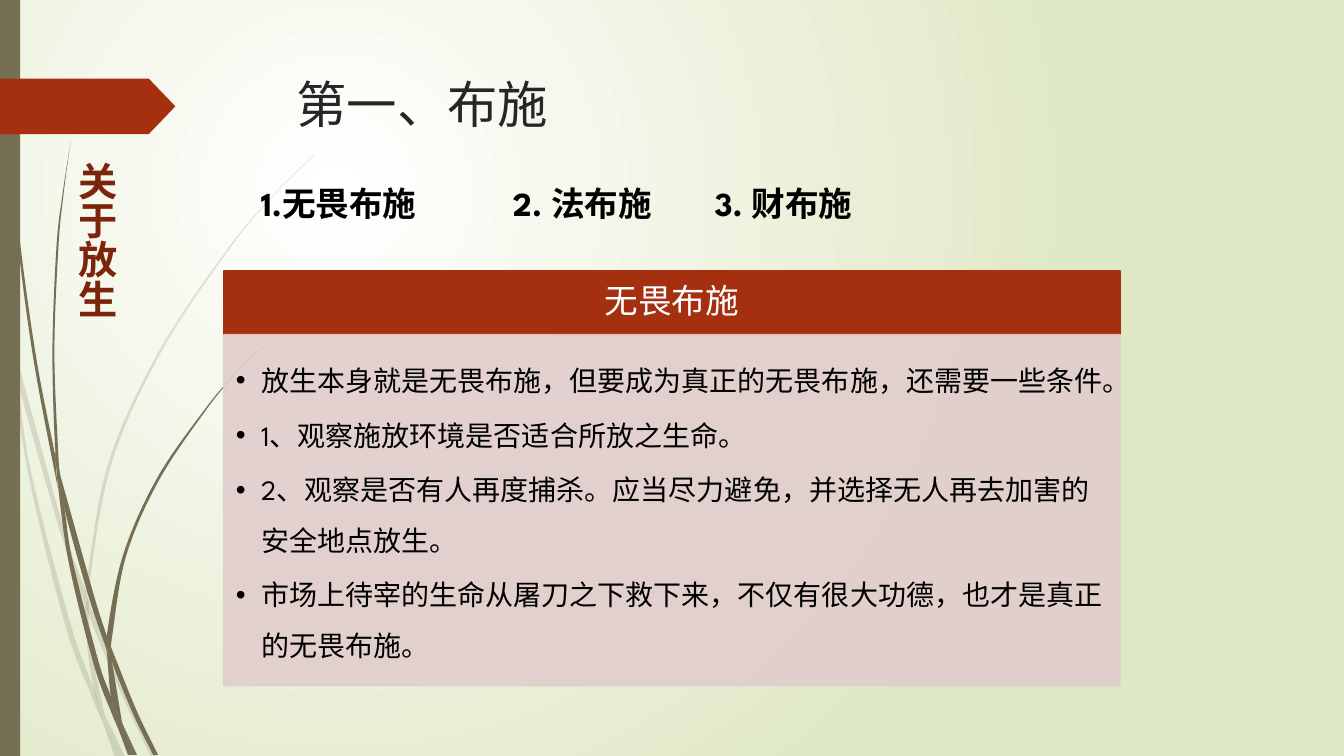
from lxml import etree
from pptx import Presentation
from pptx.dml.color import RGBColor
from pptx.enum.shapes import MSO_SHAPE
from pptx.enum.text import MSO_ANCHOR, MSO_AUTO_SIZE, PP_ALIGN
from pptx.oxml.ns import qn
from pptx.util import Pt

RECT, ARROW = MSO_SHAPE.RECTANGLE, MSO_SHAPE.PENTAGON
LEFT, CENTER = PP_ALIGN.LEFT, PP_ALIGN.CENTER
TOP, MIDDLE = MSO_ANCHOR.TOP, MSO_ANCHOR.MIDDLE
NO_FIT, GROW = MSO_AUTO_SIZE.NONE, MSO_AUTO_SIZE.SHAPE_TO_FIT_TEXT

PX = 9144  # 100 px to the inch
FONT = "League Spartan"
COLORS = {
    "olive": "766F54", "red": "A53010", "dark red": "7C240C",
    "panel": "E1CDCC", "white": "FFFFFF", "green": "DFE8C4",
    "black": "000000", "title": "262626",
}


def paint(sp, color, alpha=100, line=None):
    """Fill a shape and outline it in the same colour, or not at all."""
    formats = [sp.fill]
    if line:
        sp.line.width = Pt(line)
        formats.append(sp.line.fill)
    else:
        sp.line.fill.background()
    for fill in formats:
        fill.solid()
        fill.fore_color.rgb = RGBColor.from_string(COLORS[color])
    if alpha < 100:
        for clr in sp._element.spPr.iter(qn("a:srgbClr")):
            etree.SubElement(clr, qn("a:alpha")).set("val", str(alpha * 1000))


def write(tf, text, size, color, bold=False, align=LEFT, spacing=1.0, after=0,
          anchor=TOP, insets=(10, 5, 10, 5), wrap=True, fit=NO_FIT,
          hanging=0, tabs=()):
    """Write one paragraph for each line of text; lengths are in px."""
    tf.word_wrap, tf.auto_size, tf.vertical_anchor = wrap, fit, anchor
    (tf.margin_left, tf.margin_top,
     tf.margin_right, tf.margin_bottom) = [v * PX for v in insets]
    for i, words in enumerate(text.split("\n")):
        p = tf.add_paragraph() if i else tf.paragraphs[0]
        p.alignment, p.line_spacing = align, spacing
        p.space_before, p.space_after = Pt(0), Pt(after)
        pPr = p._p.get_or_add_pPr()
        if hanging:
            pPr.set("marL", str(hanging * PX))
            pPr.set("indent", str(-hanging * PX))
            etree.SubElement(pPr, qn("a:buFont")).set("typeface", "Arial")
            etree.SubElement(pPr, qn("a:buChar")).set("char", "•")
        if tabs:
            tab_list = etree.SubElement(pPr, qn("a:tabLst"))
            for pos in tabs:
                etree.SubElement(tab_list, qn("a:tab"), pos=str(pos * PX), algn="l")
        r = p.add_run()
        r.text = words
        r.font.name, r.font.size, r.font.bold = FONT, Pt(size), bold
        r.font.color.rgb = RGBColor.from_string(COLORS[color])


prs = Presentation()
prs.slide_width, prs.slide_height = 12192000, 6858000
s = prs.slides.add_slide(prs.slide_layouts[1])
shapes = s.shapes
title, body = shapes.title, s.placeholders[1]

# Background glow
glow = s.background.fill
glow.gradient()
for stop, color in zip(glow.gradient_stops, ("white", "green")):
    stop.color.rgb = RGBColor.from_string(COLORS[color])
grad = s._element.xpath(".//p:bg//a:gradFill")[0]
grad.remove(grad.find(qn("a:lin")))
circle = etree.SubElement(grad, qn("a:path"), path="circle")
etree.SubElement(circle, qn("a:fillToRect"), l="50000", t="50000", r="100000", b="100000")

# Grass: each piece has one edge and the other edge on the way back
pale_grass = [
    ([(11, 350), (9, 322), (0, 282)], [(0, 299), (10, 344), (11, 350)]),
    ([(14, 345), (17, 376), (58, 522), (84, 599)], [(85, 586), (62, 520), (14, 345)]),
    ([(88, 596), (88, 610), (123, 694), (150, 751)], [(155, 751), (127, 692), (92, 607), (88, 596)]),
    ([(119, 751), (124, 751)], [(105, 711), (119, 751)]),
    ([(11, 350), (28, 470), (65, 621), (92, 693), (101, 714)],
     [(99, 707), (93, 683), (70, 619), (31, 469), (17, 376), (11, 350)]),
    ([(84, 599), (87, 646), (93, 683), (96, 692), (105, 711)],
     [(103, 706), (91, 646), (88, 610), (88, 608), (84, 599)]),
    ([(88, 596), (88, 584), (110, 462), (160, 349), (229, 245), (268, 198), (290, 175), (312, 154)],
     [(312, 153), (289, 175), (268, 197), (228, 244), (158, 348), (107, 461), (85, 584), (85, 586)]),
    ([(101, 714), (114, 751)], [(119, 751), (101, 714)]),
    ([(88, 608), (88, 610), (88, 596)], [(85, 586), (84, 599), (88, 608)]),
    ([(93, 683), (99, 707), (101, 714), (119, 751)], [(105, 711), (96, 692), (93, 683)]),
]
dark_grass = [
    ([(3, 0), (4, 48), (7, 110), (17, 233), (33, 355), (56, 477), (57, 481)],
     [(55, 457), (55, 453), (36, 355), (19, 232), (8, 109), (5, 48), (4, 0)]),
    ([(60, 472), (64, 505), (88, 592), (106, 645)], [(106, 631), (93, 590), (60, 472)]),
    ([(110, 641), (111, 656), (132, 708), (152, 749)], [(157, 749), (136, 706), (113, 649), (110, 641)]),
    ([(57, 477), (68, 557), (93, 659), (111, 708), (117, 722)],
     [(116, 717), (110, 691), (98, 657), (72, 556), (64, 505), (57, 477)]),
    ([(60, 472), (58, 453), (54, 349), (58, 245), (63, 193), (70, 141)],
     [(70, 141), (62, 193), (56, 245), (52, 349), (55, 449), (60, 472)]),
    ([(133, 749), (136, 749)], [(122, 719), (133, 749)]),
    ([(57, 477), (64, 505)], [(60, 472), (55, 449), (55, 453), (57, 477)]),
    ([(111, 633), (125, 552), (158, 476), (205, 406), (231, 374), (245, 359), (261, 344)],
     [(260, 344), (245, 358), (231, 373), (204, 405), (156, 474), (122, 551), (106, 631), (110, 641)]),
    ([(117, 722), (127, 749)], [(131, 749), (117, 722)]),
    ([(106, 645), (110, 691), (116, 706), (122, 719)], [(121, 716), (111, 656), (109, 651), (106, 645)]),
    ([(106, 645), (109, 651), (111, 656)], [(110, 641), (106, 631), (106, 645)]),
    ([(110, 691), (116, 717), (117, 722), (130, 749)], [(133, 749), (122, 719), (116, 706), (110, 691)]),
]
for alpha, grass in ((20, pale_grass), (100, dark_grass)):
    for out, back in grass:
        nodes = []
        for edge in (out, [out[-1], back[0]], back, [back[-1], out[0]]):
            ends = [edge[0], *edge, edge[-1]]
            for a, b, c, d in zip(ends, ends[1:], ends[2:], ends[3:]):
                if b != c:
                    nodes += [
                        [(q + (r - p) / 6) * PX for p, q, r in zip(a, b, c)],
                        [(r - (u - q) / 6) * PX for q, r, u in zip(b, c, d)],
                        [v * PX for v in c]]
        builder = shapes.build_freeform(*[v * PX for v in out[0]], scale=1.0)
        builder.add_line_segments(nodes, close=True)
        blade = builder.convert_to_shape()
        lines = list(blade._element.iter(qn("a:lnTo")))
        for trio in zip(lines[::3], lines[1::3], lines[2::3]):
            curve = etree.Element(qn("a:cubicBezTo"))
            trio[0].addprevious(curve)
            for line in trio:
                curve.append(line[0])
                line.getparent().remove(line)
        blade.shadow.inherit = False
        paint(blade, "olive", alpha)

# Side bar, arrow and header bar
bars = []
for kind, box, color, line in (
    (RECT, (0, 0, 20, 750), "olive", None),
    (ARROW, (0, 78, 174, 55), "red", None),
    (RECT, (222, 269, 889, 63), "red", 1.25),
):
    bar = shapes.add_shape(kind, *[v * PX for v in box])
    bar.shadow.inherit = False
    paint(bar, color, line=line)
    bars.append(bar)
side_bar, arrow, header = bars
arrow.adjustments[0] = 0.48
write(header.text_frame, "无畏布施", 24, "white", align=CENTER, spacing=0.9,
      anchor=MIDDLE, insets=(19, 11, 19, 11))

# Title and list, brought in front of the grass
for sp, box in ((title, (284, 68, 975, 109)), (body, (222, 332, 889, 348))):
    sp.left, sp.top, sp.width, sp.height = [v * PX for v in box]
    shapes._spTree.append(sp._element)
write(title.text_frame, "第一、布施", 36, "title")
paint(body, "panel", 90, line=1.25)
write(body.text_frame,
      "放生本身就是无畏布施，但要成为真正的无畏布施，还需要一些条件。\n"
      "1、观察施放环境是否适合所放之生命。\n"
      "2、观察是否有人再度捕杀。应当尽力避免，并选择无人再去加害的安全地点放生。\n"
      "市场上待宰的生命从屠刀之下救下来，不仅有很大功德，也才是真正的无畏布施。",
      20, "black", spacing=1.5, after=3, insets=(12, 12, 16, 17), hanging=25)

# Three kinds of giving, and the vertical topic
kinds = shapes.add_textbox(249 * PX, 177 * PX, 839 * PX, 50 * PX)
write(kinds.text_frame, "1.无畏布施\t2. 法布施\t3. 财布施", 24, "black",
      bold=True, fit=GROW, tabs=(250, 450))
topic = shapes.add_textbox(57 * PX, 151 * PX, 67 * PX, 165 * PX)
write(topic.text_frame, "关于放生", 28, "dark red", bold=True, wrap=False, fit=GROW)
topic.text_frame._txBody.bodyPr.set("vert", "eaVert")

prs.save("out.pptx")
